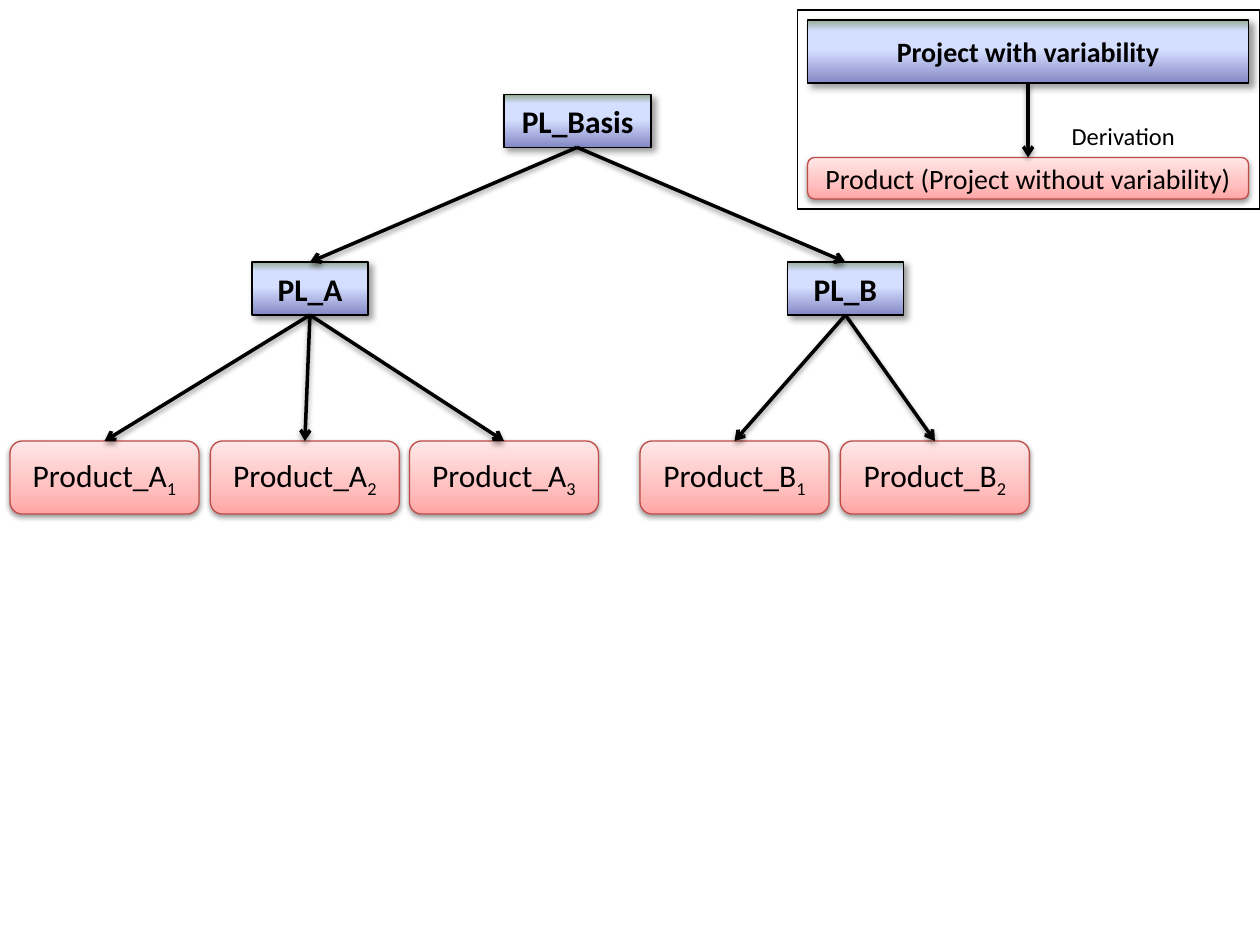
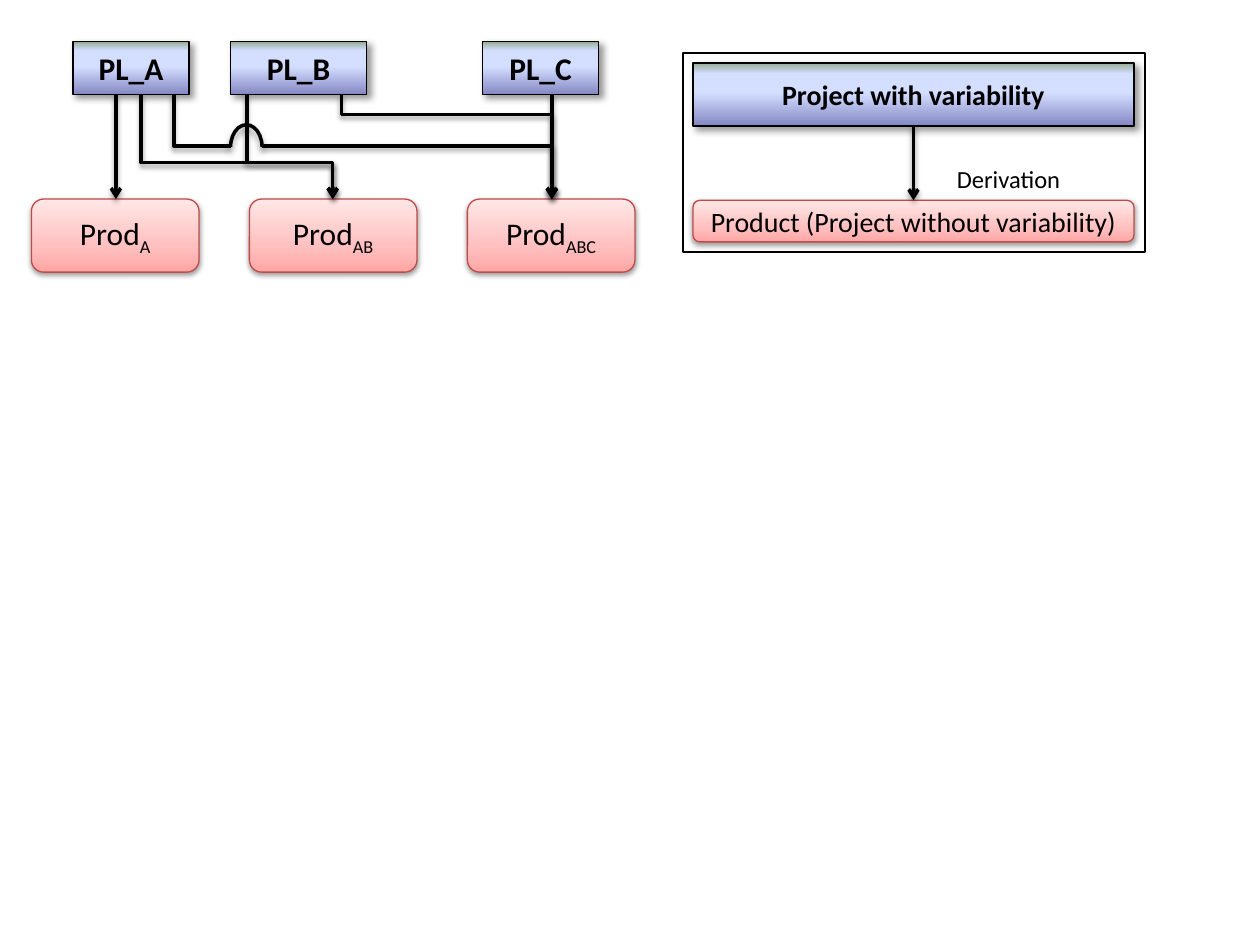
from dataclasses import dataclass

from lxml.etree import SubElement
from pptx import Presentation
from pptx.dml.color import RGBColor
from pptx.enum.shapes import MSO_CONNECTOR, MSO_SHAPE
from pptx.enum.text import MSO_ANCHOR, PP_ALIGN
from pptx.oxml.ns import qn
from pptx.util import Inches, Pt


@dataclass(frozen=True)
class Theme:
    """Colours, type sizes, gradients and shadows of both slides."""
    font = "Calibri"
    black = "000000"
    red = "BF4C48"
    node_size = 18
    legend_size = 16
    label_size = 14
    blue_stops = ((0, "8488C4"), (53, "D4DEFF"), (83, "D4DEFF"), (100, "96AB94"))
    red_stops = ((0, "FFA6A5"), (35, "FFC0BF"), (100, "FFE7E7"))
    # opacity %, blur pt, distance pt, direction in degrees
    project_shadow = (40, 4, 3, 45)
    soft_shadow = (38, 3.1, 1.6, 90)
    arc_shadow = (40, 4, 3, 90)


T = Theme()


def outline(shape, color, width, shadow=None):
    """Set the line of a shape or connector, and its shadow or the lack of one."""
    shape.line.color.rgb = RGBColor.from_string(color)
    shape.line.width = Pt(width)
    effects = SubElement(shape._element.spPr, qn("a:effectLst"))
    if shadow:
        opacity, blur, dist, angle = shadow
        outer = SubElement(effects, qn("a:outerShdw"), blurRad=str(Pt(blur)),
                           dist=str(Pt(dist)), dir=str(angle * 60000), rotWithShape="0")
        clr = SubElement(outer, qn("a:srgbClr"), val=T.black)
        SubElement(clr, qn("a:alpha"), val=str(opacity * 1000))


def node(s, x, y, w, h, text, sub="", product=False, size=T.node_size):
    """Draw a project (blue rectangle) or a product (red rounded rectangle)."""
    kind = MSO_SHAPE.ROUNDED_RECTANGLE if product else MSO_SHAPE.RECTANGLE
    sp = s.shapes.add_shape(kind, Inches(x), Inches(y), Inches(w), Inches(h))
    sp.fill.gradient()
    sp.fill.gradient_angle = 90
    stops = sp._element.spPr.find(qn("a:gradFill")).find(qn("a:gsLst"))
    stops.clear()
    for pos, color in T.red_stops if product else T.blue_stops:
        gs = SubElement(stops, qn("a:gs"), pos=str(pos * 1000))
        SubElement(gs, qn("a:srgbClr"), val=color)
    tf = sp.text_frame
    if product:
        outline(sp, T.red, 0.75, T.soft_shadow)
        tf.margin_left = tf.margin_right = Inches(0.06)
    else:
        outline(sp, T.black, 1, T.project_shadow)
    p = tf.paragraphs[0]
    p.alignment = PP_ALIGN.CENTER
    p.font.name, p.font.size, p.font.bold = T.font, Pt(size), not product
    p.font.color.rgb = RGBColor.from_string(T.black)
    p.add_run().text = text
    if sub:
        r = p.add_run()
        r.text = sub
        r.font._element.set("baseline", "-25000")


prs = Presentation()
prs.slide_width, prs.slide_height = Inches(10), Inches(7.5)
tree, merge = [prs.slides.add_slide(prs.slide_layouts[6]) for _ in range(2)]

# Links: x1, y1, x2, y2, height of the bend (None if straight), arrowhead

# Slide 1: a tree of product lines
tree_links = []
root_x, root_bottom = 4.58, 1.17
node(tree, 4, 0.75, 1.17, 0.42, "PL_Basis")
for letter, x, product_lefts in (("A", 2, (0.08, 1.67, 3.25)), ("B", 6.25, (5.08, 6.67))):
    middle = x + 0.46
    node(tree, x, 2.08, 0.92, 0.42, f"PL_{letter}")
    tree_links.append((root_x, root_bottom, middle, 2.08, None, True))
    for i, left in enumerate(product_lefts, 1):
        node(tree, left, 3.5, 1.5, 0.58, f"Product_{letter}", str(i), product=True)
        tree_links.append((middle, 2.5, left + 0.75, 3.5, None, True))

# Slide 2: products derived from several product lines
for letter, x, w in (("A", 0.58, 0.92), ("B", 1.83, 1.08), ("C", 3.83, 0.92)):
    node(merge, x, 0.33, w, 0.42, f"PL_{letter}")
for i, sub in enumerate(("A", "AB", "ABC")):
    node(merge, 0.25 + 1.73 * i, 1.58, 1.33, 0.58, "Prod", sub, product=True)
top, bottom, hop_y = 0.75, 1.58, 1.16
merge_links = [
    (0.92, top, 0.92, bottom, None, True),
    (1.12, top, 2.64, bottom, 1.29, True),
    (1.96, top, 2.64, bottom, 1.29, True),
    (2.71, top, 4.38, bottom, 0.91, True),
    (4.38, top, 4.38, bottom, None, True),
    (1.38, top, 1.83, hop_y, hop_y, False),
    (2.08, hop_y, 4.38, bottom, hop_y, True),
]
hop = merge.shapes.add_shape(MSO_SHAPE.ARC, Inches(1.83), Inches(0.99), Inches(0.25), Inches(0.35))
hop.adjustments[0] = 180 * 0.6  # angles count 0.6 per degree
hop.adjustments[1] = 0
hop.fill.background()
outline(hop, T.black, 2, T.arc_shadow)

# Legend and connectors on both slides
for s, links, x, y in ((tree, tree_links, 6.33, 0.08), (merge, merge_links, 5.42, 0.42)):
    frame = s.shapes.add_shape(MSO_SHAPE.RECTANGLE, Inches(x), Inches(y), Inches(3.67), Inches(1.58))
    frame.fill.background()
    outline(frame, T.black, 1)
    node(s, x + 0.08, y + 0.08, 3.5, 0.5, "Project with variability", size=T.legend_size)
    node(s, x + 0.08, y + 1.17, 3.5, 0.33, "Product (Project without variability)",
         product=True, size=T.legend_size)
    links.append((x + 1.83, y + 0.58, x + 1.83, y + 1.17, None, True))
    label = s.shapes.add_textbox(Inches(x + 1.92), Inches(y + 0.83), Inches(1.33), Inches(0.33))
    tf = label.text_frame
    tf.word_wrap = True
    tf.vertical_anchor = MSO_ANCHOR.MIDDLE
    tf.margin_left = tf.margin_right = Inches(0.06)
    p = tf.paragraphs[0]
    p.text = "Derivation"
    p.alignment = PP_ALIGN.CENTER
    p.font.name, p.font.size = T.font, Pt(T.label_size)
    p.font.color.rgb = RGBColor.from_string(T.black)

    for x1, y1, x2, y2, bend, head in links:
        kind = MSO_CONNECTOR.STRAIGHT
        ends = (x1, y1, x2, y2)
        if bend is not None:
            # An elbow runs sideways first: swap its sides and turn it upright
            kind = MSO_CONNECTOR.ELBOW
            mid_x, mid_y = (x1 + x2) / 2, (y1 + y2) / 2
            half_w, half_h = (x2 - x1) / 2, (y2 - y1) / 2
            ends = (mid_x - half_h, mid_y - half_w, mid_x + half_h, mid_y + half_w)
        link = s.shapes.add_connector(kind, *[Inches(v) for v in ends])
        spPr = link._element.spPr
        if bend is not None:
            xfrm = spPr.find(qn("a:xfrm"))
            xfrm.set("rot", str(270 * 60000))
            xfrm.set("flipH", "1")
            guides = spPr.find(qn("a:prstGeom")).find(qn("a:avLst"))
            share = round((bend - y1) / (y2 - y1) * 100000)
            SubElement(guides, qn("a:gd"), name="adj1", fmla=f"val {share}")
        outline(link, T.black, 2, T.soft_shadow)
        if head:
            SubElement(spPr.find(qn("a:ln")), qn("a:tailEnd"), type="arrow")

prs.save("out.pptx")
